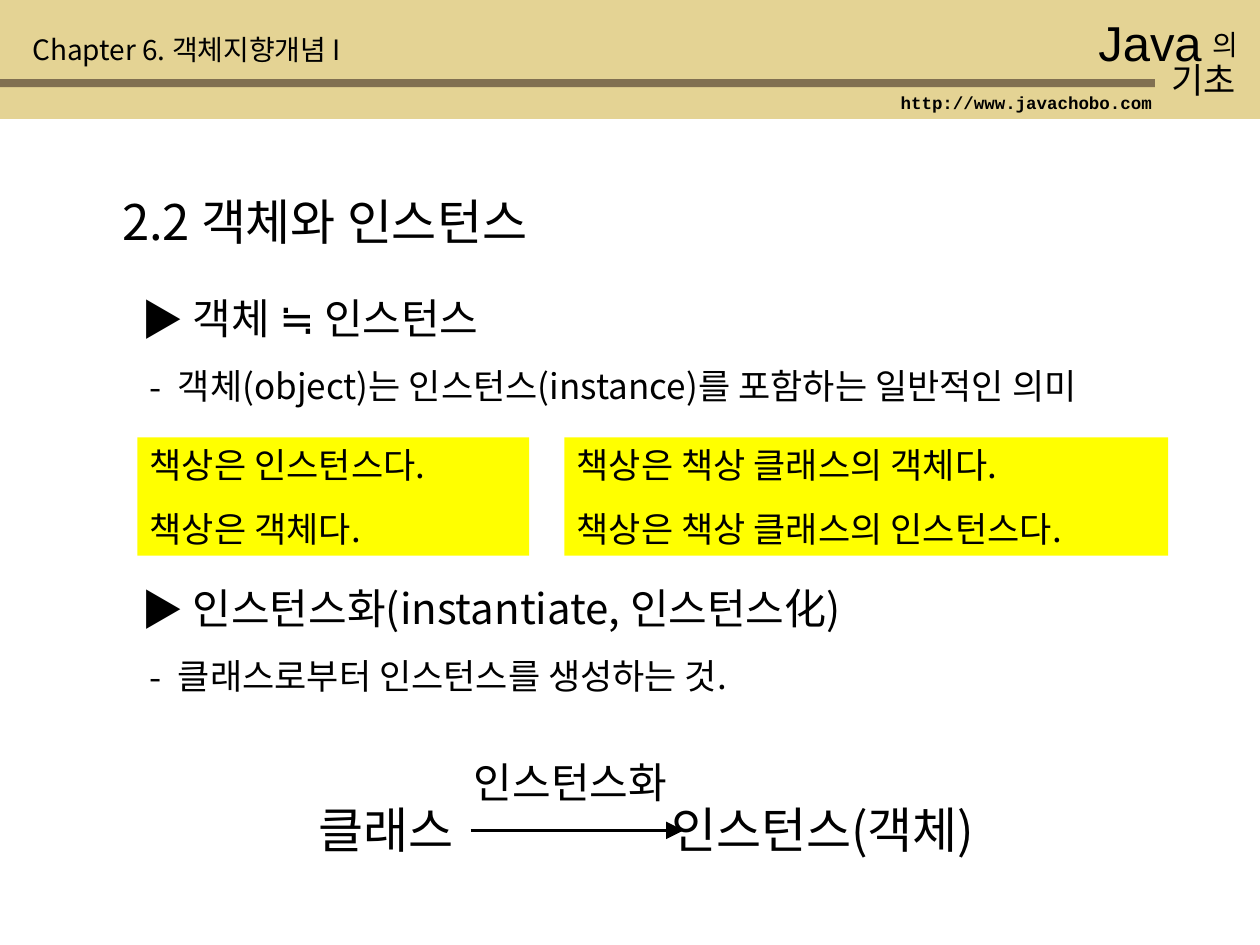
from lxml import etree
from pptx import Presentation
from pptx.dml.color import RGBColor
from pptx.enum.shapes import MSO_CONNECTOR, MSO_SHAPE
from pptx.enum.text import MSO_ANCHOR, MSO_AUTO_SIZE, PP_ALIGN
from pptx.oxml.ns import qn
from pptx.util import Pt

BLACK = RGBColor(0x00, 0x00, 0x00)
SAND = RGBColor(0xE4, 0xD3, 0x94)
BROWN = RGBColor(0x81, 0x70, 0x51)
YELLOW = RGBColor(0xFF, 0xFF, 0x00)

RECTANGLE = MSO_SHAPE.RECTANGLE
STRAIGHT = MSO_CONNECTOR.STRAIGHT
LEFT, CENTER = PP_ALIGN.LEFT, PP_ALIGN.CENTER
TOP = MSO_ANCHOR.TOP
NO_AUTO_SIZE = MSO_AUTO_SIZE.NONE

KOREAN = "Noto Sans CJK KR"
TWO_CONTENT_LAYOUT = 3

# Marker, left margin, hanging indent, size and space before for each list level
LIST_LEVELS = (("▶", 29.5, 29.5, 24, 0), ("-", 21, 16, 20, 12.5))


def place(shape, box):
    shape.left, shape.top, shape.width, shape.height = (Pt(value) for value in box)


def prepare_frame(shape):
    frame = shape.text_frame
    frame.word_wrap = True
    frame.auto_size = NO_AUTO_SIZE
    frame.vertical_anchor = TOP
    frame.margin_left = frame.margin_right = Pt(7.2)
    frame.margin_top = frame.margin_bottom = Pt(3.6)
    return frame


def add_run(paragraph, text, size, font=KOREAN, bold=False):
    paragraph.line_spacing = 1.0
    run = paragraph.add_run()
    run.text = text
    run.font.name, run.font.size, run.font.bold = font, Pt(size), bold
    run.font.color.rgb = BLACK
    if font == KOREAN:
        east_asian = etree.SubElement(run.font._element, qn("a:ea"))
        east_asian.set("typeface", font)


def write_lines(shape, lines, size, align=LEFT, gap=0, font=KOREAN, bold=False):
    frame = prepare_frame(shape)
    for index, line in enumerate(lines):
        paragraph = frame.add_paragraph() if index else frame.paragraphs[0]
        paragraph.alignment = align
        paragraph.space_before = Pt(gap if index else 0)
        add_run(paragraph, line, size, font, bold)


def add_label(slide, box, text, size, **style):
    label = slide.shapes.add_textbox(*(Pt(value) for value in box))
    write_lines(label, [text], size, **style)


def add_rectangle(slide, box, color):
    shape = slide.shapes.add_shape(RECTANGLE, *(Pt(value) for value in box))
    shape.shadow.inherit = False
    shape.fill.solid()
    shape.fill.fore_color.rgb = color
    shape.line.fill.background()
    return shape


def add_header(slide, box):
    left, top, width, height = box
    add_rectangle(slide, box, SAND)
    add_rectangle(slide, (left, top + 45.2, width - 60, 4.6), BROWN)
    # Course name in the right corner
    right = left + width
    add_label(slide, (right - 99.4, top + 3.6, 95.8, 41), "Java", 28, font="Arial")
    add_label(slide, (right - 34, top + 12.2, 42.5, 27), "의", 16)
    add_label(slide, (right - 57.6, top + 30, 64, 32), "기초", 20)
    # Web address and chapter
    add_label(slide, (right - 212.4, top + 49, 158.4, 19.4),
              "http://www.javachobo.com", 10, font="Courier New", bold=True)
    add_label(slide, (left + 11.5, top + 15.1, 312, 27), "Chapter 6. 객체지향개념 I", 16)


def add_title(slide, box):
    title = slide.shapes.title
    place(title, box)
    write_lines(title, ["2.2 객체와 인스턴스"], 28)


def add_topic(placeholder, box, lines):
    place(placeholder, box)
    frame = prepare_frame(placeholder)
    for index, (line, level) in enumerate(zip(lines, LIST_LEVELS)):
        marker, margin, hanging, size, gap = level
        paragraph = frame.add_paragraph() if index else frame.paragraphs[0]
        properties = paragraph._p.get_or_add_pPr()
        properties.set("marL", str(Pt(margin)))
        properties.set("indent", str(-Pt(hanging)))
        etree.SubElement(properties, qn("a:buFont")).set("typeface", KOREAN)
        etree.SubElement(properties, qn("a:buChar")).set("char", marker)
        paragraph.alignment = LEFT
        paragraph.space_before = Pt(gap)
        add_run(paragraph, line, size)


def add_examples(slide, box, columns):
    left, top, width, height = box
    gap = 20
    first_width = 224
    widths = (first_width, width - first_width - gap)
    for lines, column_width in zip(columns, widths):
        panel = add_rectangle(slide, (left, top, column_width, height), YELLOW)
        write_lines(panel, lines, 20, gap=12.5)
        left += column_width + gap


def add_diagram(slide, box):
    left, top, width, height = box
    text_top = top + 25
    add_label(slide, (left, text_top, 100, 41), "클래스", 28)
    add_label(slide, (left + 201.5, text_top, width - 201.5, 41), "인스턴스(객체)", 28)
    # Arrow with its caption
    arrow_y = top + height - 20
    arrow = slide.shapes.add_connector(
        STRAIGHT, Pt(left + 94), Pt(arrow_y), Pt(left + 215.7), Pt(arrow_y))
    arrow.line.color.rgb = BLACK
    arrow.line.width = Pt(2)
    head = etree.SubElement(arrow.line._get_or_add_ln(), qn("a:tailEnd"))
    for name, value in (("type", "triangle"), ("w", "lg"), ("len", "lg")):
        head.set(name, value)
    etree.SubElement(arrow._element.spPr, qn("a:effectLst"))
    add_label(slide, (left + 52.3, top, 197.3, 36), "인스턴스화", 24, align=CENTER)


def main():
    presentation = Presentation()
    presentation.slide_width, presentation.slide_height = Pt(720), Pt(540)
    slide = presentation.slides.add_slide(presentation.slide_layouts[TWO_CONTENT_LAYOUT])
    first_topic, second_topic = slide.placeholders[1], slide.placeholders[2]

    add_header(slide, (0, 0, 720, 68))
    add_title(slide, (62.6, 106, 578, 41))
    add_topic(first_topic, (73.4, 163.5, 623.5, 73),
              ["객체 ≒ 인스턴스", "객체(object)는 인스턴스(instance)를 포함하는 일반적인 의미"])
    add_examples(slide, (78.5, 250, 589, 67.5), [
        ["책상은 인스턴스다.", "책상은 객체다."],
        ["책상은 책상 클래스의 객체다.", "책상은 책상 클래스의 인스턴스다."],
    ])
    add_topic(second_topic, (73.4, 329, 572.4, 73),
              ["인스턴스화(instantiate, 인스턴스化)", "클래스로부터 인스턴스를 생성하는 것."])
    add_diagram(slide, (175, 428.5, 420, 66))
    presentation.save("out.pptx")


if __name__ == "__main__":
    main()
